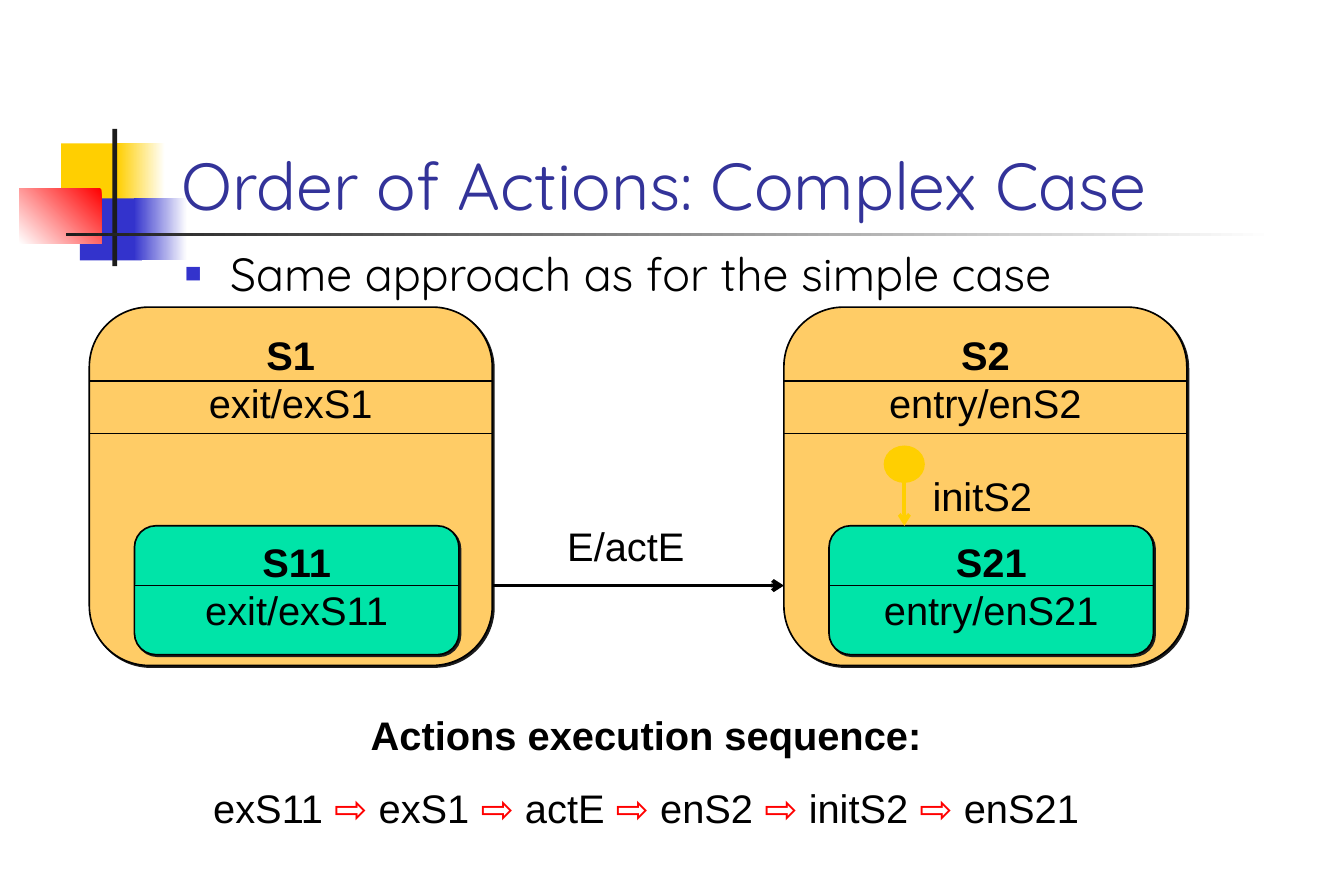
from lxml.etree import SubElement as Sub
from pptx import Presentation
from pptx.dml.color import RGBColor
from pptx.enum.shapes import MSO_CONNECTOR as Link, MSO_SHAPE as Form
from pptx.enum.text import MSO_ANCHOR as Anchor, MSO_AUTO_SIZE as Fit, PP_ALIGN as Align
from pptx.oxml.ns import qn
from pptx.util import Cm, Pt

BLACK = RGBColor(0x00, 0x00, 0x00)
WHITE = RGBColor(0xFF, 0xFF, 0xFF)
INK = RGBColor(0x1C, 0x1C, 0x1C)
GOLD = RGBColor(0xFF, 0xCF, 0x01)
BLUE = RGBColor(0x33, 0x33, 0xCC)
NAVY = RGBColor(0x33, 0x33, 0x99)
RED = RGBColor(0xFF, 0x00, 0x00)
SAND = RGBColor(0xFF, 0xCC, 0x66)
MINT = RGBColor(0x00, 0xE4, 0xA8)


def put(para, text, size=24, color=BLACK, bold=False, face="Arial"):
    run = para.add_run()
    run.text = text
    font = run.font
    font.name, font.size, font.bold = face, Pt(size), bold
    font.color.rgb = color


class Page:
    face = "Quicksand"

    def __init__(self, slide):
        self.slide = slide
        self.shapes = slide.shapes

    def holder(self, index, box, text, size, color, anchor):
        """Place a template placeholder in front and fill it."""
        item = self.slide.placeholders[index]
        item.left, item.top, item.width, item.height = map(Cm, box)
        tree = item.element.getparent()
        tree.append(item.element)
        frame = item.text_frame
        frame.auto_size = Fit.NONE
        frame.vertical_anchor = anchor
        para = frame.paragraphs[0]
        put(para, text, size=size, color=color, face=self.face)
        para.alignment = Align.LEFT
        para.space_before = Pt(0)
        return para

    def bullet(self, para, char, color, scale):
        props = para._p.get_or_add_pPr()
        props.set("marL", str(Cm(0.96)))
        props.set("indent", str(-Cm(0.96)))
        tint = Sub(props, qn("a:buClr"))
        Sub(tint, qn("a:srgbClr"), val=str(color))
        Sub(props, qn("a:buSzPct"), val=str(scale * 1000))
        Sub(props, qn("a:buFont"), typeface="Arial")
        Sub(props, qn("a:buChar"), char=char)

    def shape(self, form, box, color, edge=None):
        item = self.shapes.add_shape(form, *map(Cm, box))
        item.fill.solid()
        item.fill.fore_color.rgb = color
        if edge is None:
            item.line.fill.background()
        else:
            item.line.color.rgb = edge
            item.line.width = Pt(1)
        item.shadow.inherit = False
        return item

    def fade(self, box, start, end, angle):
        item = self.shape(Form.RECTANGLE, box, start)
        item.fill.gradient()
        item.fill.gradient_angle = angle
        for stop, color in zip(item.fill.gradient_stops, (start, end)):
            stop.color.rgb = color

    def line(self, start, end, color=BLACK, width=1, arrow=False):
        item = self.shapes.add_connector(Link.STRAIGHT, *map(Cm, start + end))
        item.line.color.rgb = color
        item.line.width = Pt(width)
        props = item.element.spPr
        if arrow:
            Sub(props.find(qn("a:ln")), qn("a:tailEnd"), type="arrow")
        Sub(props, qn("a:effectLst"))

    def lines(self, frame, rows, gap=0):
        """Write centred rows; each row is a list of (text, format)."""
        frame.word_wrap = False
        for i, row in enumerate(rows):
            para = frame.add_paragraph() if i else frame.paragraphs[0]
            para.alignment = Align.CENTER
            if i and gap:
                para.space_before = Pt(gap)
            for text, style in row:
                put(para, text, **style)

    def state(self, box, color, name, act, rules):
        item = self.shape(Form.ROUNDED_RECTANGLE, box, color, BLACK)
        effects = item.element.spPr.find(qn("a:effectLst"))
        cast = Sub(effects, qn("a:outerShdw"), blurRad="0", dist=str(Pt(1.4)),
                   dir="2700000", algn="ctr", rotWithShape="0")
        Sub(cast, qn("a:srgbClr"), val=str(INK))
        item.text_frame.vertical_anchor = Anchor.TOP
        self.lines(item.text_frame, [[(name, {"bold": True})], [(act, {})]])
        left, _, width, _ = box
        for y in rules:
            self.line((left, y), (left + width, y))

    def label(self, box, rows, gap=0):
        frame = self.shapes.add_textbox(*map(Cm, box)).text_frame
        frame.vertical_anchor = Anchor.MIDDLE
        self.lines(frame, rows, gap)


def main():
    deck = Presentation()
    deck.slide_width, deck.slide_height = Cm(28.58), Cm(19.05)
    page = Page(deck.slides.add_slide(deck.slide_layouts[1]))

    # Corner ornament and title rule
    page.shape(Form.RECTANGLE, (1.3, 3.05, 1.37, 1.32), GOLD)
    page.fade((2.49, 3.05, 1.02, 1.32), WHITE, GOLD, 180)
    page.shape(Form.RECTANGLE, (1.7, 4.22, 1.32, 1.32), BLUE)
    page.fade((2.84, 4.22, 1.14, 1.32), WHITE, BLUE, 180)
    page.fade((0.41, 4.01, 1.75, 1.17), RED, WHITE, 225)
    page.shape(Form.RECTANGLE, (2.39, 2.74, 0.1, 2.92), INK)
    page.fade((1.4, 4.95, 25.7, 0.08), WHITE, INK, 180)

    # Title and list
    page.holder(0, (3.61, 1.7, 24.36, 3.18), "Order of Actions: Complex Case",
                40, NAVY, Anchor.BOTTOM)
    item = page.holder(1, (3.68, 5.08, 24.28, 11.43),
                       "Same approach as for the simple case",
                       28, BLACK, Anchor.TOP)
    page.bullet(item, "■", BLUE, 60)

    # Outer states, each with its inner state
    for left, num, act, verb in ((1.9, 1, "exit", "ex"),
                                 (16.67, 2, "entry", "en")):
        for box, color, name, rules in (
                ((left, 6.53, 8.57, 7.62), SAND, f"S{num}", (8.1, 9.22)),
                ((left + 0.96, 11.18, 6.9, 2.74), MINT, f"S{num}1", (12.45,))):
            page.state(box, color, name, f"{act}/{verb}{name}", rules)

    # Initial transition
    page.line((19.23, 9.86), (19.23, 11.18), GOLD, 2.25, arrow=True)
    page.shape(Form.OVAL, (18.81, 9.49, 0.84, 0.76), GOLD, GOLD)
    page.label((19.58, 9.91, 2.62, 1.27), [[("initS2", {})]])

    # Transition between the states
    page.line((10.49, 12.45), (16.67, 12.45), BLACK, 2.25, arrow=True)
    page.label((11.81, 10.97, 3, 1.27), [[("E/actE", {})]])

    # Execution sequence
    steps = ("exS11", "exS1", "actE", "enS2", "initS2", "enS21")
    chain = []
    for step in steps[:-1]:
        chain += [(step + " ", {}), ("⇨ ", {"color": RED})]
    chain.append((steps[-1], {}))
    head = [("Actions execution sequence:", {"bold": True})]
    page.label((3.91, 14.99, 19.66, 2.82), [head, chain], gap=15)

    deck.save("out.pptx")


if __name__ == "__main__":
    main()
